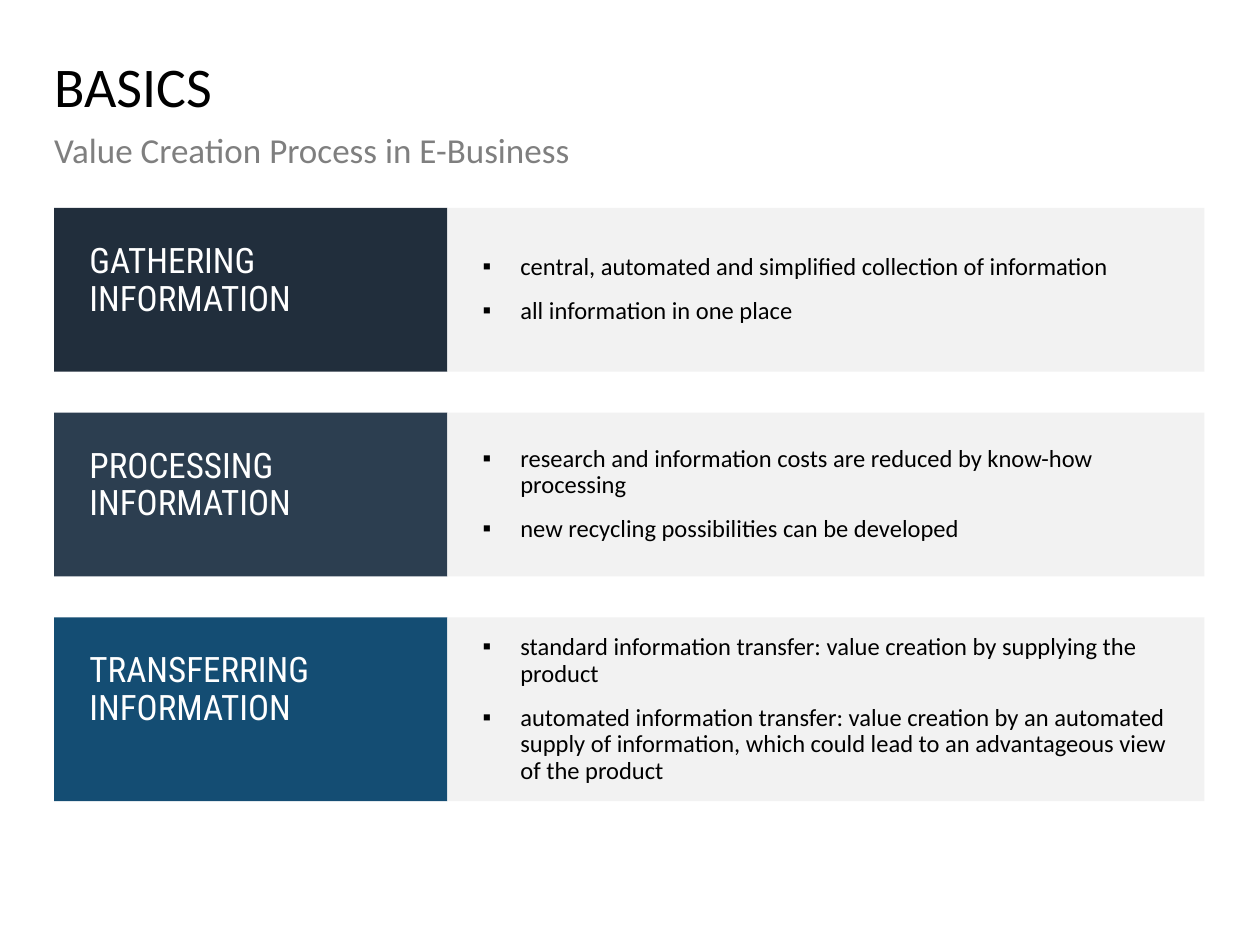
"""Build the slide on the value creation process in e-business."""
from lxml import etree
from pptx import Presentation
from pptx.dml.color import RGBColor
from pptx.enum.shapes import MSO_SHAPE
from pptx.enum.text import MSO_ANCHOR, PP_ALIGN
from pptx.oxml.ns import qn
from pptx.util import Inches, Pt

RECT = MSO_SHAPE.RECTANGLE
TOP, MIDDLE = MSO_ANCHOR.TOP, MSO_ANCHOR.MIDDLE
LEFT = PP_ALIGN.LEFT
BODY, HEAD = "Calibri", "Roboto Condensed"

TITLE = "BASICS"
SUBTITLE = "Value Creation Process in E-Business"
STEPS = [
    ("GATHERING INFORMATION", "212E3C", 1.3, [
        "central, automated and simplified collection of information",
        "all information in one place",
    ]),
    ("PROCESSING INFORMATION", "2C3E50", 1.3, [
        "research and information costs are reduced by know-how processing",
        "new recycling possibilities can be developed",
    ]),
    ("TRANSFERRING INFORMATION", "144D73", 1.46, [
        "standard information transfer: value creation by supplying the product",
        "automated information transfer: value creation by an automated supply "
        "of information, which could lead to an advantageous view of the product",
    ]),
]
EDGE, WIDTH, SPLIT = 0.43, 9.13, 3.55
START, PITCH, PAD = 1.65, 1.625, 0.28


def color(code):
    return RGBColor.from_string(code)


def add_bullet(para):
    props = para._p.get_or_add_pPr()
    props.set("marL", str(Inches(0.3)))
    props.set("indent", str(Inches(-0.3)))
    etree.SubElement(props, qn("a:buFont")).set("typeface", "Arial")
    etree.SubElement(props, qn("a:buChar")).set("char", "▪")


def write(shape, lines, size, face, ink, pad=0, after=10, anchor=TOP, bullet=False):
    frame = shape.text_frame
    frame.word_wrap = True
    frame.vertical_anchor = anchor
    frame.margin_left = frame.margin_right = Inches(pad)
    frame.margin_top = frame.margin_bottom = Inches(pad)
    for i, line in enumerate(lines):
        para = frame.add_paragraph() if i else frame.paragraphs[0]
        if bullet:
            add_bullet(para)
        para.alignment = LEFT
        para.line_spacing = 0.9
        para.space_after = Pt(after)
        run = para.add_run()
        run.text = line
        run.font.size = Pt(size)
        run.font.name = face
        run.font.color.rgb = color(ink)


def add_label(slide, top, height, *text, **style):
    box = slide.shapes.add_textbox(*map(Inches, (EDGE, top, WIDTH, height)))
    write(box, *text, **style)


def add_panel(slide, place, fill, *text, **style):
    panel = slide.shapes.add_shape(RECT, *map(Inches, place))
    panel.shadow.inherit = False
    panel.fill.solid()
    panel.fill.fore_color.rgb = color(fill)
    panel.line.fill.background()
    write(panel, *text, pad=PAD, **style)


def main():
    deck = Presentation()
    deck.slide_width, deck.slide_height = Inches(10), Inches(7.5)
    slide = deck.slides.add_slide(deck.slide_layouts[6])
    add_label(slide, 0.47, 0.59, [TITLE], 32, BODY, "000000", after=0)
    add_label(slide, 1.06, 0.59, [SUBTITLE], 20, BODY, "7F7F7F")
    for i, (name, fill, height, points) in enumerate(STEPS):
        top = START + i * PITCH
        add_panel(slide, (EDGE, top, SPLIT - EDGE, height), fill,
                  [name], 20, HEAD, "FFFFFF")
        add_panel(slide, (SPLIT, top, EDGE + WIDTH - SPLIT, height), "F2F2F2",
                  points, 14, BODY, "000000", anchor=MIDDLE, bullet=True)
    deck.save("out.pptx")


if __name__ == "__main__":
    main()
